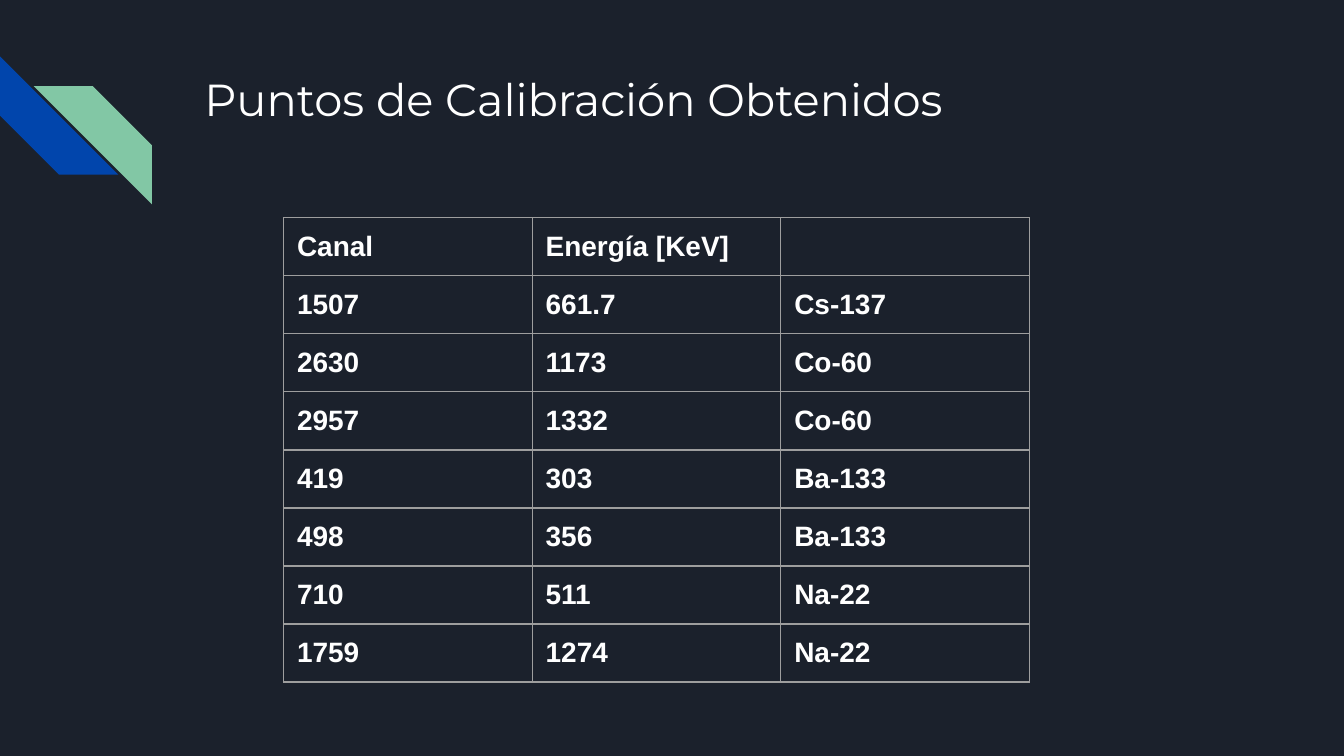
from lxml import etree
from pptx import Presentation
from pptx.dml.color import RGBColor
from pptx.enum.shapes import MSO_SHAPE
from pptx.enum.text import MSO_ANCHOR, PP_ALIGN
from pptx.oxml.ns import qn
from pptx.util import Inches, Pt

STRIPE = MSO_SHAPE.DIAGONAL_STRIPE
TOP = MSO_ANCHOR.TOP
LEFT = PP_ALIGN.LEFT
TITLE_ONLY = 5
COLORS = {
    "background": "1B212C",
    "text": "FFFFFF",
    "border": "9E9E9E",
    "blue": "0145AC",
    "green": "82C7A5",
}
SLIDE_WIDTH = Inches(10)
SLIDE_HEIGHT = SLIDE_WIDTH * 9 // 16
STRIPE_SIZE = 0.88
COLUMN_WIDTH = 1.85
ROW_HEIGHT = 0.43
MARGIN = Inches(0.1)
ROWS = [
    ("Canal", "Energía [KeV]", ""),
    ("1507", "661.7", "Cs-137"),
    ("2630", "1173", "Co-60"),
    ("2957", "1332", "Co-60"),
    ("419", "303", "Ba-133"),
    ("498", "356", "Ba-133"),
    ("710", "511", "Na-22"),
    ("1759", "1274", "Na-22"),
]


def paint(fill, color):
    """Give a fill one solid colour from the palette."""
    fill.solid()
    fill.fore_color.rgb = RGBColor.from_string(COLORS[color])


def write(text_frame, text, font="Arial", size=15, bold=False, color="text"):
    """Write one left-aligned formatted line into a text frame."""
    paragraph = text_frame.paragraphs[0]
    paragraph.alignment = LEFT
    run = paragraph.add_run()
    run.text = text
    run.font.name = font
    run.font.size = Pt(size)
    run.font.bold = bold
    run.font.color.rgb = RGBColor.from_string(COLORS[color])


def set_margins(holder):
    """Set equal inner margins on a text frame or a table cell."""
    for side in ("left", "right", "top", "bottom"):
        setattr(holder, f"margin_{side}", MARGIN)


def add_stripe(slide, left, top, rotation, color):
    """Add a turned diagonal stripe."""
    size = Inches(STRIPE_SIZE)
    shape = slide.shapes.add_shape(STRIPE, Inches(left), Inches(top), size, size)
    shape.rotation = rotation
    shape.shadow.inherit = False
    paint(shape.fill, color)
    shape.line.fill.background()


def add_title(slide, text):
    """Place and format the title placeholder."""
    title = slide.shapes.title
    title.left, title.top = Inches(1.42), Inches(0.43)
    title.width, title.height = Inches(7.7), Inches(1)
    title.text_frame.vertical_anchor = TOP
    title.text_frame.word_wrap = True
    set_margins(title.text_frame)
    write(title.text_frame, text, font="Montserrat", size=24)


def add_borders(cell):
    """Draw thin lines on all four sides of a cell."""
    properties = cell._tc.get_or_add_tcPr()
    for index, side in enumerate(("a:lnL", "a:lnR", "a:lnT", "a:lnB")):
        line = etree.Element(qn(side), w=str(Pt(0.75)))
        fill = etree.SubElement(line, qn("a:solidFill"))
        etree.SubElement(fill, qn("a:srgbClr"), val=COLORS["border"])
        properties.insert(index, line)


def format_cell(cell, text):
    """Fill, border and write one table cell."""
    paint(cell.fill, "background")
    add_borders(cell)
    if text:
        set_margins(cell)
        write(cell.text_frame, text, bold=True)
    else:
        cell.margin_top = cell.margin_bottom = 0


def add_table(slide, rows, left, top):
    """Add a table of equal columns and rows."""
    row_count, column_count = len(rows), len(rows[0])
    table = slide.shapes.add_table(
        row_count, column_count, Inches(left), Inches(top),
        Inches(COLUMN_WIDTH * column_count), Inches(ROW_HEIGHT * row_count),
    ).table
    table.horz_banding = False
    table.first_row = False
    for row, texts in zip(table.rows, rows):
        for cell, text in zip(row.cells, texts):
            format_cell(cell, text)


def main():
    """Build and save the calibration slide."""
    presentation = Presentation()
    presentation.slide_width = SLIDE_WIDTH
    presentation.slide_height = SLIDE_HEIGHT
    slide = presentation.slides.add_slide(presentation.slide_layouts[TITLE_ONLY])
    paint(slide.background.fill, "background")
    add_stripe(slide, 0, 0.42, 270, "blue")
    add_stripe(slide, 0.25, 0.64, 90, "green")
    add_title(slide, "Puntos de Calibración Obtenidos")
    add_table(slide, ROWS, 2.11, 1.62)
    presentation.save("out.pptx")


if __name__ == "__main__":
    main()
